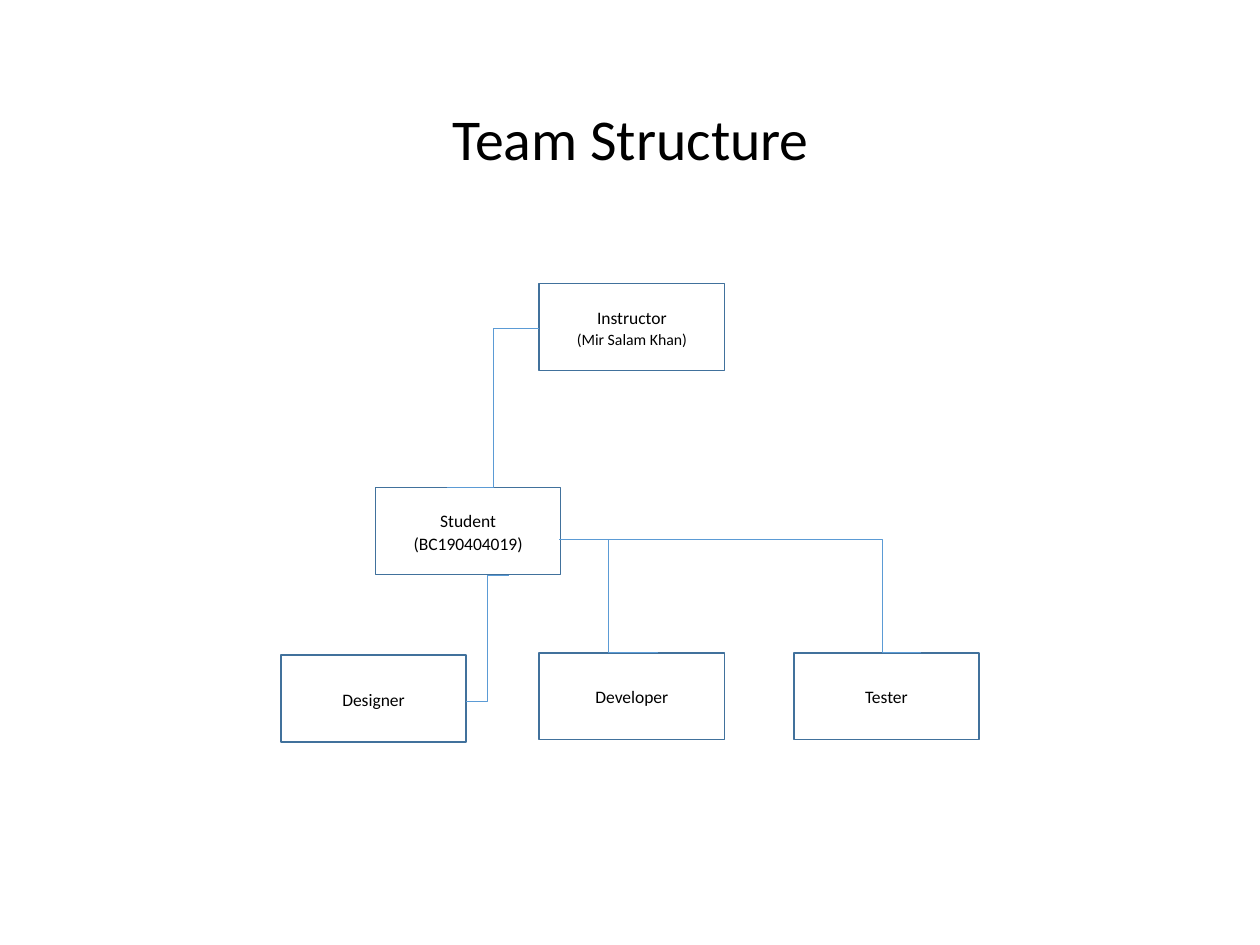
"""Build the Team Structure slide with its organisation chart."""
from dataclasses import dataclass

from lxml import etree
from pptx import Presentation
from pptx.dml.color import RGBColor
from pptx.enum.shapes import MSO_CONNECTOR, MSO_SHAPE
from pptx.enum.text import MSO_ANCHOR, MSO_AUTO_SIZE, PP_ALIGN
from pptx.oxml.ns import qn
from pptx.util import Inches, Pt

RECTANGLE = MSO_SHAPE.RECTANGLE
ELBOW = MSO_CONNECTOR.ELBOW
MIDDLE = MSO_ANCHOR.MIDDLE
CENTER = PP_ALIGN.CENTER
NO_AUTOFIT = MSO_AUTO_SIZE.NONE


@dataclass(frozen=True)
class Theme:
    font: str = "Calibri"
    text: RGBColor = RGBColor(0x00, 0x00, 0x00)
    paper: RGBColor = RGBColor(0xFF, 0xFF, 0xFF)
    border: RGBColor = RGBColor(0x41, 0x71, 0x9C)
    link: RGBColor = RGBColor(0x5B, 0x9B, 0xD5)
    title_size: int = 33
    role_size: int = 10
    name_size: int = 9


THEME = Theme()


def write_lines(frame, lines, spacing):
    frame.word_wrap = True
    frame.auto_size = NO_AUTOFIT
    frame.vertical_anchor = MIDDLE
    for index, (text, size) in enumerate(lines):
        para = frame.add_paragraph() if index else frame.paragraphs[0]
        para.alignment = CENTER
        para.line_spacing = spacing
        para.space_before = Pt(0)
        span = para.add_run()
        span.text = text
        span.font.name = THEME.font
        span.font.size = Pt(size)
        span.font.color.rgb = THEME.text


deck = Presentation()
deck.slide_width = Inches(10)
deck.slide_height = Inches(7.5)
page = deck.slides.add_slide(deck.slide_layouts[5])
page.background.fill.solid()
page.background.fill.fore_color.rgb = THEME.paper

title = page.shapes.title
title.left, title.top = Inches(0.69), Inches(0.4)
title.width, title.height = Inches(8.63), Inches(1.45)
write_lines(title.text_frame, [("Team Structure", THEME.title_size)], 0.9)

roles = [
    (4.28, 2.25, [("Instructor", THEME.role_size), ("(Mir Salam Khan)", THEME.name_size)]),
    (2.98, 3.87, [("Student", THEME.role_size), ("(BC190404019)", THEME.role_size)]),
    (2.23, 5.2, [("Designer", THEME.role_size)]),
    (4.28, 5.18, [("Developer", THEME.role_size)]),
    (6.3, 5.18, [("Tester", THEME.role_size)]),
]
for left, top, lines in roles:
    box = page.shapes.add_shape(RECTANGLE, Inches(left), Inches(top), Inches(1.47), Inches(0.69))
    box.shadow.inherit = False
    box.fill.solid()
    box.fill.fore_color.rgb = THEME.paper
    box.line.color.rgb = THEME.border
    box.line.width = Pt(1)
    write_lines(box.text_frame, lines, 1.07)

links = [
    (3.55, 3.87, 4.28, 2.61, 50000),
    (3.7, 5.57, 4.04, 4.57, 50000),
    (5.22, 5.18, 4.44, 4.28, 50000),
    (7.31, 5.18, 4.44, 4.28, 10800),
]
for start_x, start_y, end_x, end_y, bend in links:
    link = page.shapes.add_connector(
        ELBOW, Inches(start_x), Inches(start_y), Inches(end_x), Inches(end_y)
    )
    link.line.color.rgb = THEME.link
    link.line.width = Pt(0.5)
    properties = link._element.spPr
    etree.SubElement(properties, qn("a:effectLst"))
    guides = properties.find(qn("a:prstGeom")).find(qn("a:avLst"))
    etree.SubElement(guides, qn("a:gd"), name="adj1", fmla=f"val {bend}")

deck.save("out.pptx")
